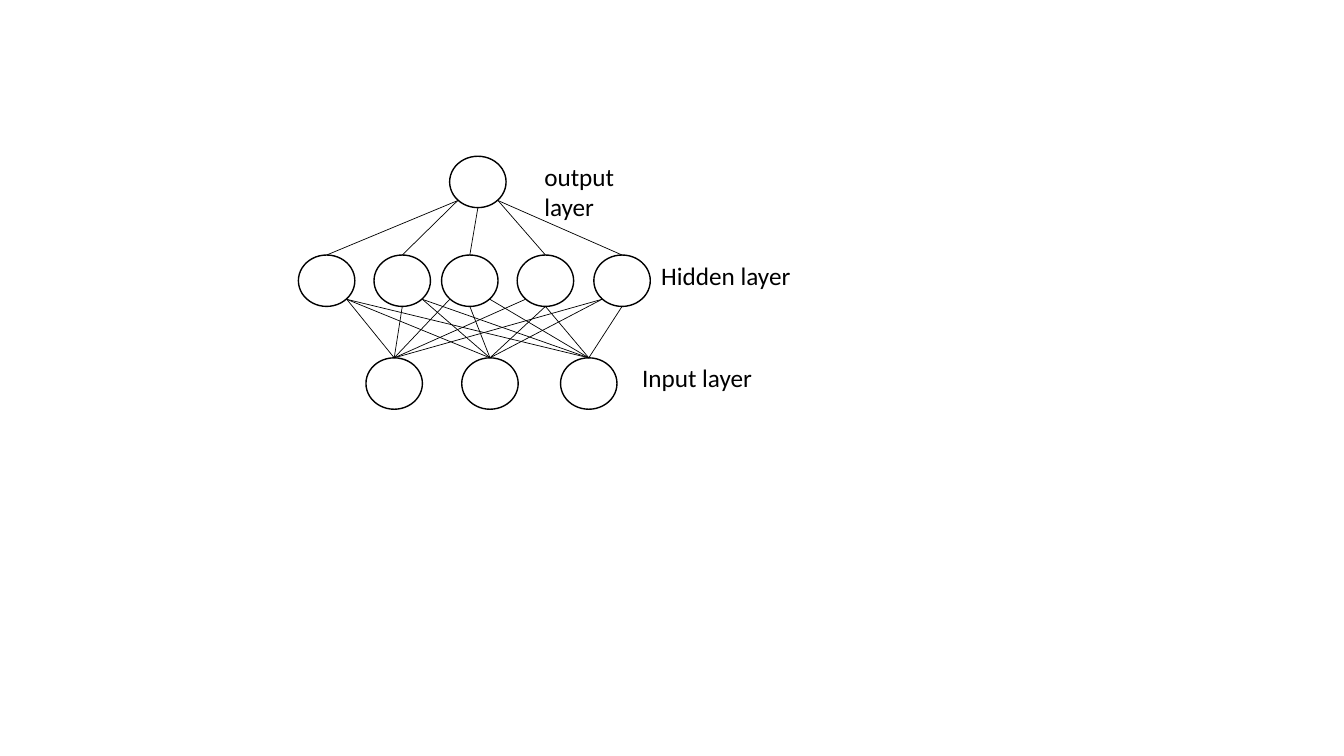
"""Draw a small three-layer neural network with labelled layers."""
import pptx
import pptx.util
import pptx.dml.color
import pptx.enum.shapes
import pptx.enum.text
import pptx.oxml

SCALE = 9144
COLORS = {"ink": "000000", "paper": "FFFFFF"}
WIDE, HIGH = 56, 51
SIDE, RISE = 20, 7
NEAR = 60


def px(count):
    """Turn whole px into EMU."""
    return pptx.util.Emu(count * SCALE)


def color(name):
    """Look up a colour by name."""
    return pptx.dml.color.RGBColor.from_string(COLORS[name])


def write(frame, text, size=18, font="Calibri", ink="ink"):
    """Put formatted text in a frame."""
    run = frame.paragraphs[0].add_run()
    run.text = text
    run.font.size = pptx.util.Pt(size)
    run.font.name = font
    run.font.color.rgb = color(ink)


class Sketch:
    """Hold the style and the current slide."""

    def __init__(self, slide):
        """Keep the slide and line widths."""
        self.shapes = slide.shapes
        self.edge = pptx.util.Pt(1)
        self.thin = pptx.util.Pt(0.5)

    def node(self, left, top):
        """Draw one neuron."""
        kind = pptx.enum.shapes.MSO_SHAPE.OVAL
        oval = self.shapes.add_shape(kind, px(left), px(top), px(WIDE), px(HIGH))
        oval.shadow.inherit = False
        oval.fill.solid()
        oval.fill.fore_color.rgb = color("paper")
        oval.line.color.rgb = color("ink")
        oval.line.width = self.edge
        return oval

    def link(self, upper, lower):
        """Join a neuron to one in the layer below, leaving from the facing side."""
        start = upper.left + upper.width // 2
        base = upper.top + upper.height
        end = lower.left + lower.width // 2
        if abs(end - start) > px(NEAR):
            start += px(SIDE) if end > start else -px(SIDE)
            base -= px(RISE)
        kind = pptx.enum.shapes.MSO_CONNECTOR.STRAIGHT
        line = self.shapes.add_connector(kind, start, base, end, lower.top)
        line.end_connect(lower, 0)
        line.line.color.rgb = color("ink")
        line.line.width = self.thin
        props = line._element.spPr
        props.append(pptx.oxml.parse_xml(
            '<a:effectLst xmlns:a="http://schemas.openxmlformats.org/drawingml/2006/main"/>'))

    def label(self, text, left, top, width):
        """Name a layer."""
        box = self.shapes.add_textbox(px(left), px(top), px(width), px(40))
        frame = box.text_frame
        frame.word_wrap = False
        frame.auto_size = pptx.enum.text.MSO_AUTO_SIZE.SHAPE_TO_FIT_TEXT
        write(frame, text)


def main():
    """Build and save the slide."""
    deck = pptx.Presentation()
    deck.slide_width, deck.slide_height = px(1333), px(750)
    sketch = Sketch(deck.slides.add_slide(deck.slide_layouts[6]))
    layers = [
        (155, [446], "output layer", 530, 144),
        (253, [296, 371, 438, 513, 589], "Hidden layer", 646, 148),
        (355, [363, 458, 556], "Input layer", 627, 129),
    ]
    nodes = [[sketch.node(left, top) for left in lefts] for top, lefts, *_ in layers]
    for above, below in zip(nodes, nodes[1:]):
        for upper in above:
            for lower in below:
                sketch.link(upper, lower)
    for top, _, text, left, width in layers:
        sketch.label(text, left, top, width)
    deck.save("out.pptx")


if __name__ == "__main__":
    main()
